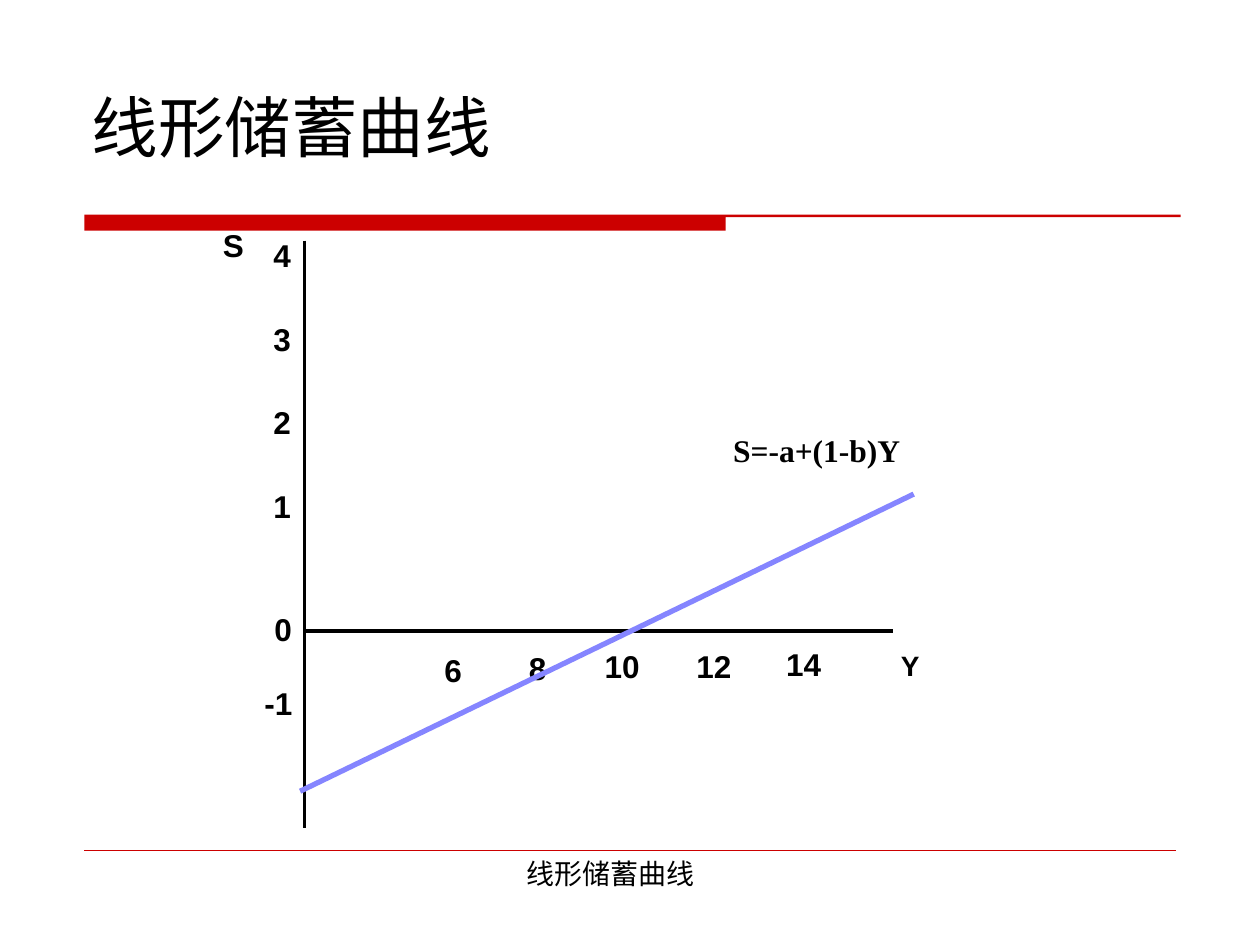
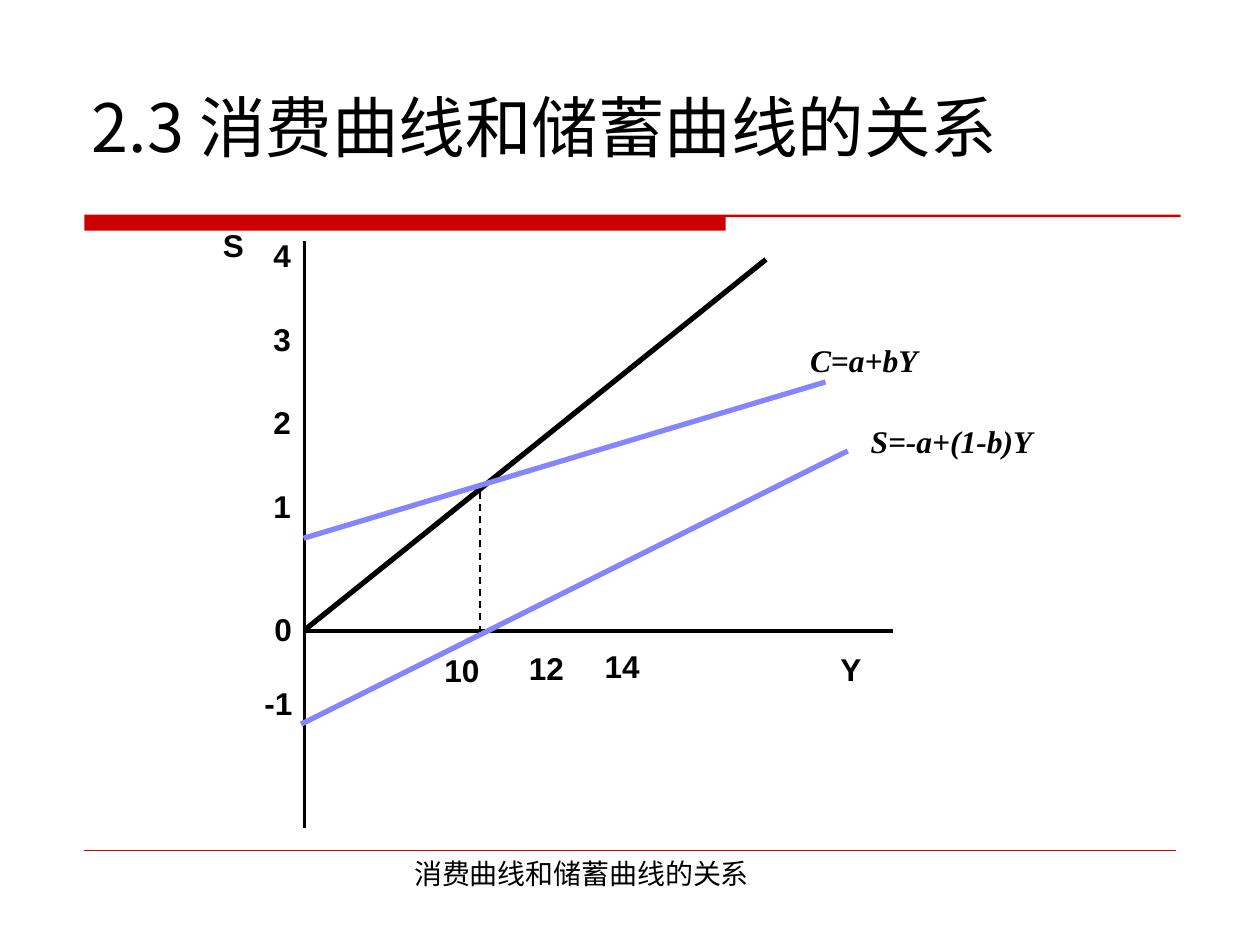
from dataclasses import dataclass

from lxml.etree import SubElement
from pptx import Presentation
from pptx.dml.color import RGBColor
from pptx.enum.dml import MSO_LINE_DASH_STYLE as Dash
from pptx.enum.shapes import MSO_CONNECTOR_TYPE as Connector
from pptx.enum.text import MSO_ANCHOR as Anchor, PP_ALIGN as Align
from pptx.oxml.ns import qn
from pptx.util import Cm, Pt


@dataclass(frozen=True)
class Theme:
    red: RGBColor = RGBColor(0xCC, 0x00, 0x00)
    black: RGBColor = RGBColor(0x00, 0x00, 0x00)
    curve: RGBColor = RGBColor(0x85, 0x85, 0xFF)
    chinese_font: str = "Noto Sans CJK SC"
    label_font: str = "Arial"
    serif_font: str = "Times New Roman"
    title_size: int = 38
    label_size: int = 18
    small_size: int = 16


THEME = Theme()
BAND_OUTLINE = [(1.7, 4.33), (23.8, 4.33), (23.8, 4.38), (14.63, 4.38), (14.63, 4.65), (1.7, 4.65)]
LABEL_HEIGHT = 1.02
LABEL_WIDTHS = {1: 0.86, 2: 1.24}
AXIS_LETTER_WIDTH = 0.94
TICK_LEFT = 5.26
TOP_TICK = 4.63
TICK_STEP = 1.69
INCOME_TICK_SPOTS = [(8.71, 13.0), (10.41, 12.95), (11.94, 12.91), (13.79, 12.91), (15.6, 12.88)]


def add_text(page, text, left, top, width, height, font, size,
             bold=False, italic=False, align=Align.LEFT, anchor=Anchor.TOP, wrap=True):
    box = page.shapes.add_textbox(Cm(left), Cm(top), Cm(width), Cm(height))
    frame = box.text_frame
    frame.word_wrap = wrap
    frame.vertical_anchor = anchor
    frame.text = text
    para = frame.paragraphs[0]
    para.alignment = align
    for span in para.runs:
        span.font.name = font
        span.font.size = Pt(size)
        span.font.bold = bold
        span.font.italic = italic
        span.font.color.rgb = THEME.black
        east_asian = SubElement(span.font._element, qn("a:ea"))
        east_asian.set("typeface", THEME.chinese_font)


def add_line(page, start, end, color, weight, dash=None):
    line = page.shapes.add_connector(
        Connector.STRAIGHT, Cm(start[0]), Cm(start[1]), Cm(end[0]), Cm(end[1]))
    line.line.color.rgb = color
    line.line.width = Pt(weight)
    if dash is not None:
        line.line.dash_style = dash
    SubElement(line._element.spPr, qn("a:effectLst"))


def add_title(page, title):
    add_text(page, title, 1.6, 0.84, 22.22, 3.38, THEME.chinese_font,
             THEME.title_size, anchor=Anchor.MIDDLE)


def add_title_band(page):
    corners = [(Cm(x), Cm(y)) for x, y in BAND_OUTLINE]
    outline = page.shapes.build_freeform(*corners[0])
    outline.add_line_segments(corners[1:], close=True)
    band = outline.convert_to_shape()
    band.shadow.inherit = False
    band.fill.solid()
    band.fill.fore_color.rgb = THEME.red
    band.line.fill.background()


def add_footer(page, caption, left, width, align):
    add_line(page, (1.7, 17.15), (23.7, 17.15), THEME.red, 0.25)
    add_text(page, caption, left, 17.14, width, 0.94, THEME.serif_font,
             THEME.small_size, align=align)


def add_label(page, text, left, top, width=None, size=THEME.label_size, align=Align.LEFT):
    add_text(page, text, left, top, width or LABEL_WIDTHS[len(text)], LABEL_HEIGHT,
             THEME.label_font, size, bold=True, align=align, wrap=False)


def add_equation(page, text, left, top, width, italic):
    add_text(page, text, left, top, width, LABEL_HEIGHT, THEME.serif_font,
             THEME.label_size, bold=True, italic=italic)


def add_curve(page, start, end):
    add_line(page, start, end, THEME.curve, 3)


def add_axes(page, income_ticks):
    add_line(page, (6.14, 4.85), (6.14, 16.7), THEME.black, 2)
    add_line(page, (6.12, 12.72), (18.0, 12.72), THEME.black, 2)
    add_label(page, "S", 4.23, 4.44, AXIS_LETTER_WIDTH, align=Align.RIGHT)
    for row, value in enumerate((4, 3, 2, 1)):
        add_label(page, str(value), TICK_LEFT, TOP_TICK + row * TICK_STEP)
    add_label(page, "0", 5.28, 12.17)
    add_label(page, "-1", 5.08, 13.67)
    for tick, (left, top) in zip(income_ticks, INCOME_TICK_SPOTS):
        add_label(page, tick, left, top)


def start_page(deck, title, income_ticks):
    page = deck.slides.add_slide(deck.slide_layouts[6])
    add_title_band(page)
    add_title(page, title)
    add_axes(page, income_ticks)
    return page


def build_saving_page(deck):
    page = start_page(deck, "线形储蓄曲线", ["6", "8", "10", "12", "14"])
    add_label(page, "Y", 17.91, 12.95, AXIS_LETTER_WIDTH, size=THEME.small_size)
    add_equation(page, "S=-a+(1-b)Y", 14.53, 8.56, 5.03, italic=False)
    add_curve(page, (6.05, 15.95), (18.42, 9.96))
    add_footer(page, "线形储蓄曲线", 7.9, 8.81, Align.CENTER)


def build_relation_page(deck):
    page = start_page(deck, "2.3 消费曲线和储蓄曲线的关系", ["10", "12", "14"])
    add_label(page, "Y", 16.69, 12.98, AXIS_LETTER_WIDTH)
    add_equation(page, "S=-a+(1-b)Y", 17.3, 8.38, 5.03, italic=True)
    add_curve(page, (6.07, 14.6), (17.09, 9.09))
    add_line(page, (9.68, 12.75), (9.68, 9.75), THEME.black, 1, Dash.DASH)
    add_line(page, (6.14, 12.7), (15.44, 5.23), THEME.black, 3)
    add_curve(page, (6.12, 10.85), (16.64, 7.7))
    add_equation(page, "C=a+bY", 16.08, 6.76, 3.81, italic=True)
    add_footer(page, "消费曲线和储蓄曲线的关系", 8.1, 10.39, Align.LEFT)


def main():
    deck = Presentation()
    deck.slide_width = Cm(25.4)
    deck.slide_height = Cm(19.05)
    build_saving_page(deck)
    build_relation_page(deck)
    deck.save("out.pptx")


if __name__ == "__main__":
    main()
